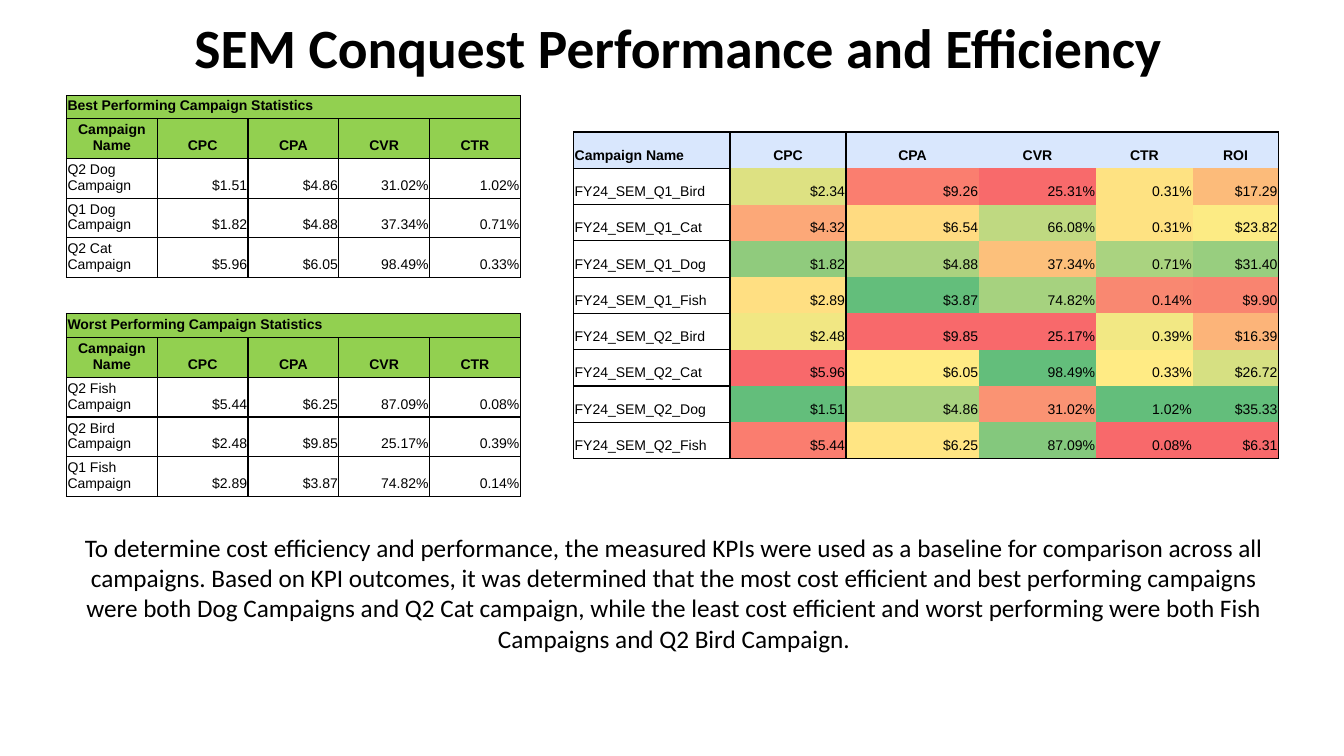
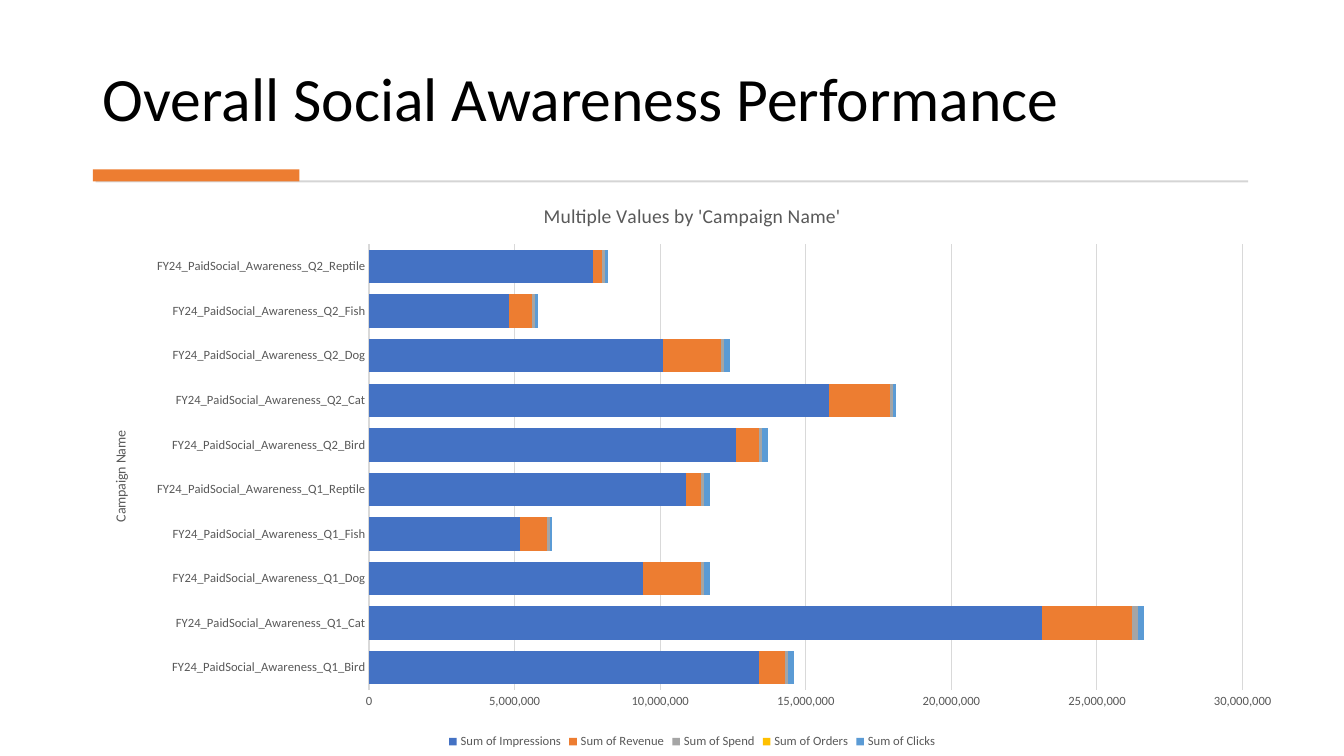
from lxml import etree
from pptx import Presentation
from pptx import util as u
from pptx.chart import data as chart_data
from pptx.dml import color
from pptx.enum import chart as chart_enum
from pptx.enum import shapes, text
from pptx.oxml import ns, parse_xml

BLACK, GREY, RULE, GRID = "000000", "595959", "D5D5D5", "D9D9D9"
GREEN, PALE_BLUE, ORANGE = "92D050", "D9E7FD", "ED7D31"
SANS, TABLE_FONT = "Calibri", "Arial"
NO_STYLE = "{2D5ABB26-0587-4C30-8999-92F81FD0307C}"
LEFT, CENTER, RIGHT = text.PP_ALIGN.LEFT, text.PP_ALIGN.CENTER, text.PP_ALIGN.RIGHT

KPI_HEADS = ["Campaign Name", "CPC", "CPA", "CVR", "CTR"]
BEST_CAMPAIGNS = [
    ["Q2 Dog Campaign", "$1.51", "$4.86", "31.02%", "1.02%"],
    ["Q1 Dog Campaign", "$1.82", "$4.88", "37.34%", "0.71%"],
    ["Q2 Cat Campaign", "$5.96", "$6.05", "98.49%", "0.33%"],
]
WORST_CAMPAIGNS = [
    ["Q2 Fish Campaign", "$5.44", "$6.25", "87.09%", "0.08%"],
    ["Q2 Bird Campaign", "$2.48", "$9.85", "25.17%", "0.39%"],
    ["Q1 Fish Campaign", "$2.89", "$3.87", "74.82%", "0.14%"],
]
HEAT_ROWS = [
    ("Q1_Bird", "$2.34 $9.26 25.31% 0.31% $17.29", "DDE182 FA7E6F F86A6B FEE282 FCBB7A"),
    ("Q1_Cat", "$4.32 $6.54 66.08% 0.31% $23.82", "FCA878 FFDB81 BFD981 FEE282 FCEB84"),
    ("Q1_Dog", "$1.82 $4.88 37.34% 0.71% $31.40", "90CB7D ABD27F FCC07B AAD380 98CE7F"),
    ("Q1_Fish", "$2.89 $3.87 74.82% 0.14% $9.90", "FFDF82 63BE7B A6D27F F98871 F98470"),
    ("Q2_Bird", "$2.48 $9.85 25.17% 0.39% $16.39", "F1E783 F8696B F8696B F2E884 FCB479"),
    ("Q2_Cat", "$5.96 $6.05 98.49% 0.33% $26.72", "F8696B FFEB84 63BE7B FFEB84 D6E082"),
    ("Q2_Dog", "$1.51 $4.86 31.02% 1.02% $35.33", "63BE7B A9D27F FA9373 63BE7B 63BE7B"),
    ("Q2_Fish", "$5.44 $6.25 87.09% 0.08% $6.31", "FA7D6F FFE583 84C87D F8696B F8696B"),
]
SUMMARY = (
    "To determine cost efficiency and performance, the measured KPIs were used as a "
    "baseline for comparison across all campaigns. Based on KPI outcomes, it was "
    "determined that the most cost efficient and best performing campaigns were both "
    "Dog Campaigns and Q2 Cat campaign, while the least cost efficient and worst "
    "performing were both Fish Campaigns and Q2 Bird Campaign."
)
AWARENESS_CATEGORIES = [
    f"FY24_PaidSocial_Awareness_{quarter}_{animal}"
    for quarter in ("Q1", "Q2")
    for animal in ("Bird", "Cat", "Dog", "Fish", "Reptile")
]
AWARENESS_SERIES = [
    ("Sum of Impressions", "4472C4", [13.4, 23.1, 9.4, 5.2, 10.9, 12.6, 15.8, 10.1, 4.8, 7.7]),
    ("Sum of Revenue", ORANGE, [0.9, 3.1, 2, 0.9, 0.5, 0.8, 2.1, 2, 0.8, 0.3]),
    ("Sum of Spend", "A5A5A5", [0.1, 0.2] + [0.1] * 8),
    ("Sum of Orders", "FFC000", [0] * 10),
    ("Sum of Clicks", "5B9BD5", [0.2, 0.2, 0.2, 0.1, 0.2, 0.2, 0.1, 0.2, 0.1, 0.1]),
]


def rgb(value):
    return color.RGBColor.from_string(value)


def style_font(font, size, fill=BLACK, name=SANS, bold=False):
    font.size = u.Pt(size)
    font.name = name
    font.bold = bold
    font.color.rgb = rgb(fill)


def write(frame, words, size, align=LEFT, fill=BLACK, name=SANS, bold=False):
    paragraph = frame.paragraphs[0]
    paragraph.alignment = align
    run = paragraph.add_run()
    run.text = words
    style_font(run.font, size, fill, name, bold)
    return paragraph


def add_text(slide, box, words, size, anchor=text.MSO_ANCHOR.TOP, **style):
    frame = slide.shapes.add_textbox(*map(u.Inches, box)).text_frame
    frame.word_wrap = True
    frame.vertical_anchor = anchor
    return write(frame, words, size, **style)


def add_title(slide, box, words, size, anchor, bold=False):
    add_text(slide, box, words, size, anchor, bold=bold).line_spacing = 0.9


def add_bar(slide, box, fill):
    shape = slide.shapes.add_shape(shapes.MSO_SHAPE.RECTANGLE, *map(u.Inches, box))
    shape.shadow.inherit = False
    shape.fill.solid()
    shape.fill.fore_color.rgb = rgb(fill)
    shape.line.fill.background()


def add_table(slide, left, top, widths, heights):
    box = (left, top, sum(widths), sum(heights))
    table = slide.shapes.add_table(len(heights), len(widths), *map(u.Inches, box)).table
    table.first_row = table.horz_banding = False
    table._tbl.tblPr.find(ns.qn("a:tableStyleId")).text = NO_STYLE
    for column, width in zip(table.columns, widths):
        column.width = u.Inches(width)
    for row, height in zip(table.rows, heights):
        row.height = u.Inches(height)
    return table


def set_borders(cell, sides):
    properties = cell._tc.get_or_add_tcPr()
    for side in "LRTB":
        if side in sides:
            line = etree.SubElement(properties, ns.qn(f"a:ln{side}"), w=str(u.Pt(1)))
            fill = etree.SubElement(line, ns.qn("a:solidFill"))
            etree.SubElement(fill, ns.qn("a:srgbClr"), val=BLACK)


def fill_cell(cell, words, align, fill=None, bold=False, borders="LRTB"):
    cell.margin_left = cell.margin_right = cell.margin_top = u.Inches(0.01)
    cell.margin_bottom = u.Inches(0.05)
    cell.vertical_anchor = text.MSO_ANCHOR.BOTTOM
    set_borders(cell, borders)
    if fill:
        cell.fill.solid()
        cell.fill.fore_color.rgb = rgb(fill)
    else:
        cell.fill.background()
    if words:
        write(cell.text_frame, words, 10, align, name=TABLE_FONT, bold=bold)


def add_ranking(slide, left, top, heading, heading_height, campaigns):
    table = add_table(slide, left, top, [0.9] * 5, [heading_height] + [0.37] * 4)
    for column, head in enumerate(KPI_HEADS):
        fill_cell(table.cell(0, column), "" if column else heading, LEFT, GREEN, True)
        fill_cell(table.cell(1, column), head, CENTER, GREEN, True)
    table.cell(0, 0).merge(table.cell(0, 4))
    for row, values in enumerate(campaigns, 2):
        for column, value in enumerate(values):
            fill_cell(table.cell(row, column), value, RIGHT if column else LEFT)


def add_heat_map(slide, left, top):
    widths = [1.55, 1.15, 1.32, 1.16, 0.96, 0.85]
    table = add_table(slide, left, top, widths, [0.36] * (len(HEAT_ROWS) + 1))
    last_row, last_column = len(HEAT_ROWS), len(widths) - 1

    def outline(row, column):
        if column == 0:
            return "LRTB"
        edges = {"L": column == 1, "R": column == last_column, "T": row == 0, "B": row == last_row}
        return "".join(side for side, shown in edges.items() if shown)

    for column, head in enumerate(KPI_HEADS + ["ROI"]):
        align = CENTER if column else LEFT
        fill_cell(table.cell(0, column), head, align, PALE_BLUE, True, outline(0, column))
    for row, (campaign, values, fills) in enumerate(HEAT_ROWS, 1):
        fill_cell(table.cell(row, 0), f"FY24_SEM_{campaign}", LEFT)
        for column, (value, fill) in enumerate(zip(values.split(), fills.split()), 1):
            fill_cell(table.cell(row, column), value, RIGHT, fill, borders=outline(row, column))


def set_plot_layout(chart, **fractions):
    parts = "".join(f'<c:{key} val="{value}"/>' for key, value in fractions.items())
    layout = parse_xml(
        f'<c:layout {ns.nsdecls("c")}><c:manualLayout><c:layoutTarget val="inner"/>'
        f'<c:xMode val="edge"/><c:yMode val="edge"/>{parts}</c:manualLayout></c:layout>'
    )
    plot_area = chart._chartSpace.chart.plotArea
    for old in plot_area.findall(ns.qn("c:layout")):
        plot_area.remove(old)
    plot_area.insert(0, layout)


def style_axis(axis):
    axis.major_tick_mark = axis.minor_tick_mark = chart_enum.XL_TICK_MARK.NONE
    style_font(axis.tick_labels.font, 9, GREY)


def add_awareness_chart(slide, box):
    data = chart_data.CategoryChartData(number_format="#,##0")
    data.categories = AWARENESS_CATEGORIES
    for name, _, millions in AWARENESS_SERIES:
        data.add_series(name, [round(value * 1000000) for value in millions])
    kind = chart_enum.XL_CHART_TYPE.BAR_STACKED
    chart = slide.shapes.add_chart(kind, *map(u.Inches, box), data).chart
    style_font(chart.font, 10)
    chart.has_title = True
    write(chart.chart_title.text_frame, "Multiple Values by 'Campaign Name'", 14, CENTER, GREY)
    chart.chart_title.include_in_layout = False

    plot = chart.plots[0]
    plot.gap_width, plot.overlap, plot.vary_by_categories = 33, 100, False
    for series, (_, fill, _) in zip(plot.series, AWARENESS_SERIES):
        series.format.fill.solid()
        series.format.fill.fore_color.rgb = rgb(fill)

    categories, values = chart.category_axis, chart.value_axis
    style_axis(categories)
    style_axis(values)
    categories.has_title = True
    write(categories.axis_title.text_frame, "Campaign Name", 10, CENTER, GREY)
    values.minimum_scale, values.maximum_scale, values.major_unit = 0, 30000000, 5000000
    values.tick_labels.number_format = "#,##0"
    values.tick_labels.number_format_is_linked = False
    values.has_major_gridlines = True
    values.format.line.fill.background()
    for line in (categories.format.line, values.major_gridlines.format.line):
        line.color.rgb = rgb(GRID)
        line.width = u.Pt(0.75)

    chart.has_legend = True
    chart.legend.position = chart_enum.XL_LEGEND_POSITION.BOTTOM
    chart.legend.include_in_layout = False
    style_font(chart.legend.font, 9, GREY)
    set_plot_layout(chart, x=0.23, y=0.11, w=0.73, h=0.78)


def build_conquest_slide(slide):
    add_title(slide, (1.83, 0.16, 11.5, 0.68), "SEM Conquest Performance and Efficiency",
              39.6, text.MSO_ANCHOR.MIDDLE, bold=True)
    add_ranking(slide, 0.66, 0.95, "Best Performing Campaign Statistics", 0.22, BEST_CAMPAIGNS)
    add_heat_map(slide, 5.69, 1.31)
    add_ranking(slide, 0.66, 3.11, "Worst Performing Campaign Statistics", 0.24, WORST_CAMPAIGNS)
    add_text(slide, (0.66, 5.23, 12.05, 1.31), SUMMARY, 18, align=CENTER)


def build_awareness_slide(slide):
    add_title(slide, (0.92, 0.28, 11.49, 1.11), "Overall Social Awareness Performance",
              44, text.MSO_ANCHOR.BOTTOM)
    add_bar(slide, (0.95, 1.79, 11.43, 0.02), RULE)
    add_bar(slide, (0.92, 1.68, 2.05, 0.12), ORANGE)
    add_awareness_chart(slide, (0.93, 1.8, 11.87, 5.67))


def main():
    presentation = Presentation()
    presentation.slide_width = u.Inches(13.33)
    presentation.slide_height = u.Inches(7.5)
    for build in (build_conquest_slide, build_awareness_slide):
        build(presentation.slides.add_slide(presentation.slide_layouts[6]))
    presentation.save("out.pptx")


if __name__ == "__main__":
    main()
